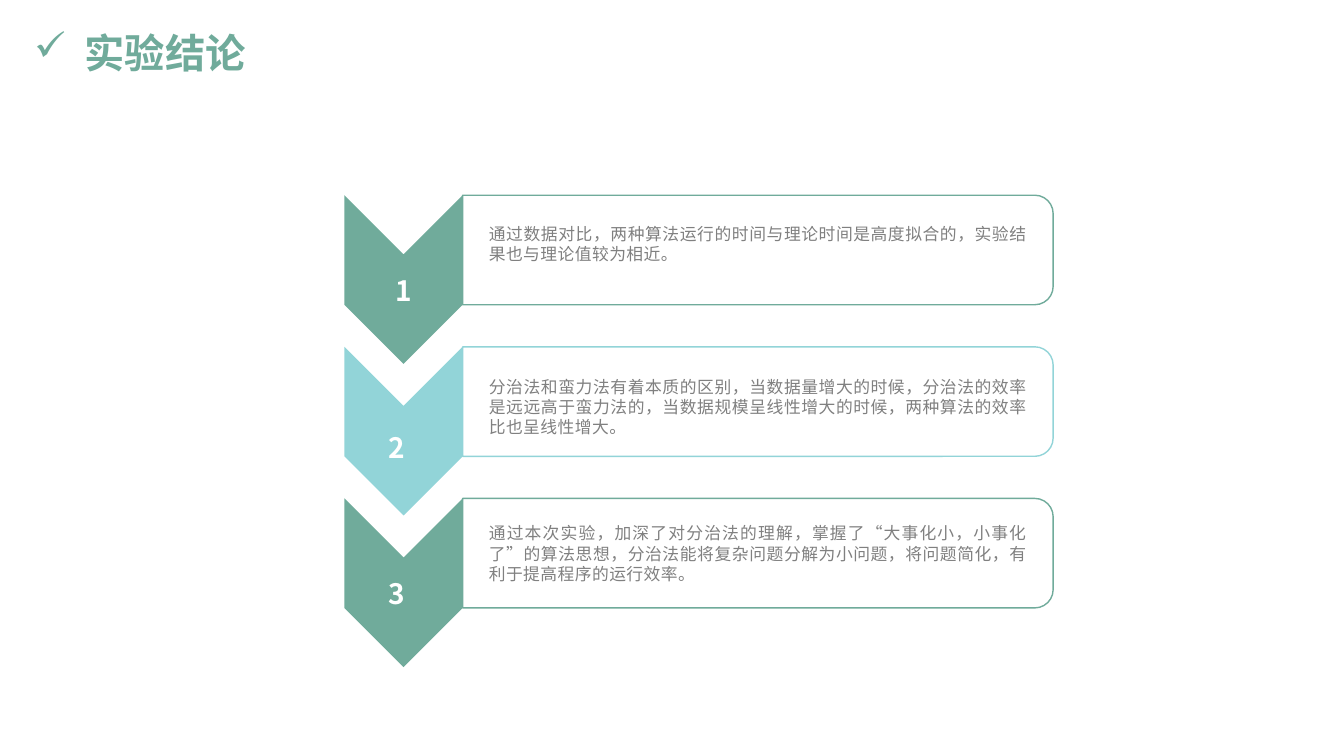
from pptx import Presentation
from pptx.dml.color import RGBColor
from pptx.enum.lang import MSO_LANGUAGE_ID as Language
from pptx.enum.shapes import MSO_SHAPE as Shape
from pptx.enum.text import MSO_ANCHOR as Anchor, PP_ALIGN as Align
from pptx.oxml.ns import qn
from pptx.util import Cm, Pt
from lxml.etree import SubElement

GREEN, AQUA, GREY, WHITE = "70AB9B", "92D4D8", "808080", "FFFFFF"
BODY_FONT, TITLE_FONT = "Noto Sans CJK SC", "Montserrat"

# Geometry in centimetres
FIRST_TOP, PITCH = 4.92, 3.82
ARROW_LEFT, ARROW_WIDTH, ARROW_HEIGHT = 8.68, 2.98, 4.25
PANEL_LEFT, PANEL_WIDTH, PANEL_HEIGHT = 11.66, 14.88, 2.76

# Number, number position, text top, colour, text
CONCLUSIONS = [
    ("1", 8.97, 6.76, 5.51, GREEN,
     "通过数据对比，两种算法运行的时间与理论时间是高度拟合的，实验结果也与理论值较为相近。"),
    ("2", 8.81, 10.72, 9.37, AQUA,
     "分治法和蛮力法有着本质的区别，当数据量增大的时候，分治法的效率是远远高于蛮力法的，"
     "当数据规模呈线性增大的时候，两种算法的效率比也呈线性增大。"),
    ("3", 8.81, 14.4, 13.06, GREEN,
     "通过本次实验，加深了对分治法的理解，掌握了“大事化小，小事化了”的算法思想，"
     "分治法能将复杂问题分解为小问题，将问题简化，有利于提高程序的运行效率。"),
]


def color(value):
    return RGBColor.from_string(value)


def add_turned_shape(page, kind, left, top, width, height, fill, line=None):
    """Add a preset turned a quarter clockwise; the box given is the visible one."""
    shape = page.shapes.add_shape(
        kind, Cm(left + (width - height) / 2), Cm(top + (height - width) / 2),
        Cm(height), Cm(width))
    shape.rotation = 90
    shape.shadow.inherit = False
    shape.fill.solid()
    shape.fill.fore_color.rgb = color(fill)
    if line:
        shape.line.color.rgb = color(line)
        shape.line.width = Pt(1)
    else:
        shape.line.fill.background()
    return shape


def add_text(page, left, top, width, height, text, size, tint,
             font=BODY_FONT, bold=False, align=Align.LEFT, spacing=0):
    box = page.shapes.add_textbox(Cm(left), Cm(top), Cm(width), Cm(height))
    box.text_frame.word_wrap = True
    para = box.text_frame.paragraphs[0]
    para.alignment = align
    span = para.add_run()
    span.text = text
    span.font.size = Pt(size)
    span.font.bold = bold
    span.font.name = font
    span.font.color.rgb = color(tint)
    span.font.language_id = Language.SIMPLIFIED_CHINESE
    # East Asian typeface and letter spacing
    properties = span.font._element
    SubElement(properties, qn("a:ea"), typeface=font)
    if spacing:
        properties.set("spc", str(spacing))
    return box


def add_title(page, text):
    box = add_text(page, 0.61, 0.74, 29.21, 1.3, text, 28.8, GREEN,
                   font=TITLE_FONT, bold=True)
    box.text_frame.vertical_anchor = Anchor.MIDDLE
    para = box.text_frame.paragraphs[0]
    para.line_spacing = 0.9
    # Hanging check mark
    properties = para._p.get_or_add_pPr()
    properties.set("marL", str(Cm(1.27)))
    properties.set("indent", str(Cm(-1.27)))
    SubElement(properties, qn("a:buChar"), char="✓")


def add_conclusion(page, index, number, number_left, number_top, text_top, tint, text):
    top = FIRST_TOP + index * PITCH
    # Panel with its text
    add_turned_shape(page, Shape.ROUND_2_SAME_RECTANGLE, PANEL_LEFT, top,
                     PANEL_WIDTH, PANEL_HEIGHT, WHITE, tint)
    add_text(page, 12.07, text_top, 14.07, 1.8, text, 12, GREY,
             align=Align.JUSTIFY, spacing=30)
    # Downward arrow with its number
    add_turned_shape(page, Shape.CHEVRON, ARROW_LEFT, top,
                     ARROW_WIDTH, ARROW_HEIGHT, tint)
    add_text(page, number_left, number_top, 2.39, 1.12, number, 20, WHITE,
             bold=True, align=Align.CENTER)


def main():
    deck = Presentation()
    deck.slide_width, deck.slide_height = Cm(33.87), Cm(19.05)
    page = deck.slides.add_slide(deck.slide_layouts[6])
    add_title(page, "实验结论")
    for index, conclusion in enumerate(CONCLUSIONS):
        add_conclusion(page, index, *conclusion)
    deck.save("out.pptx")


if __name__ == "__main__":
    main()
